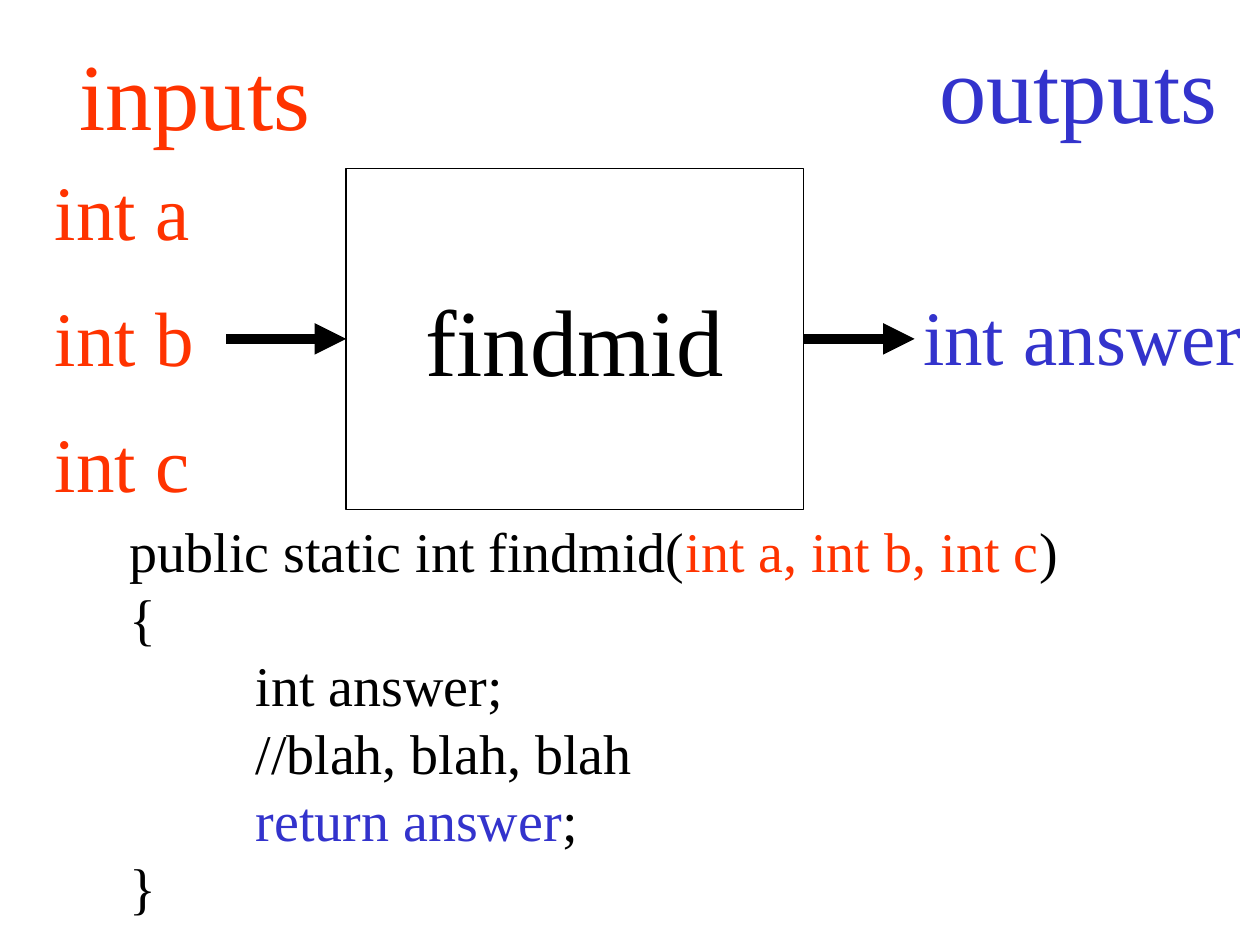
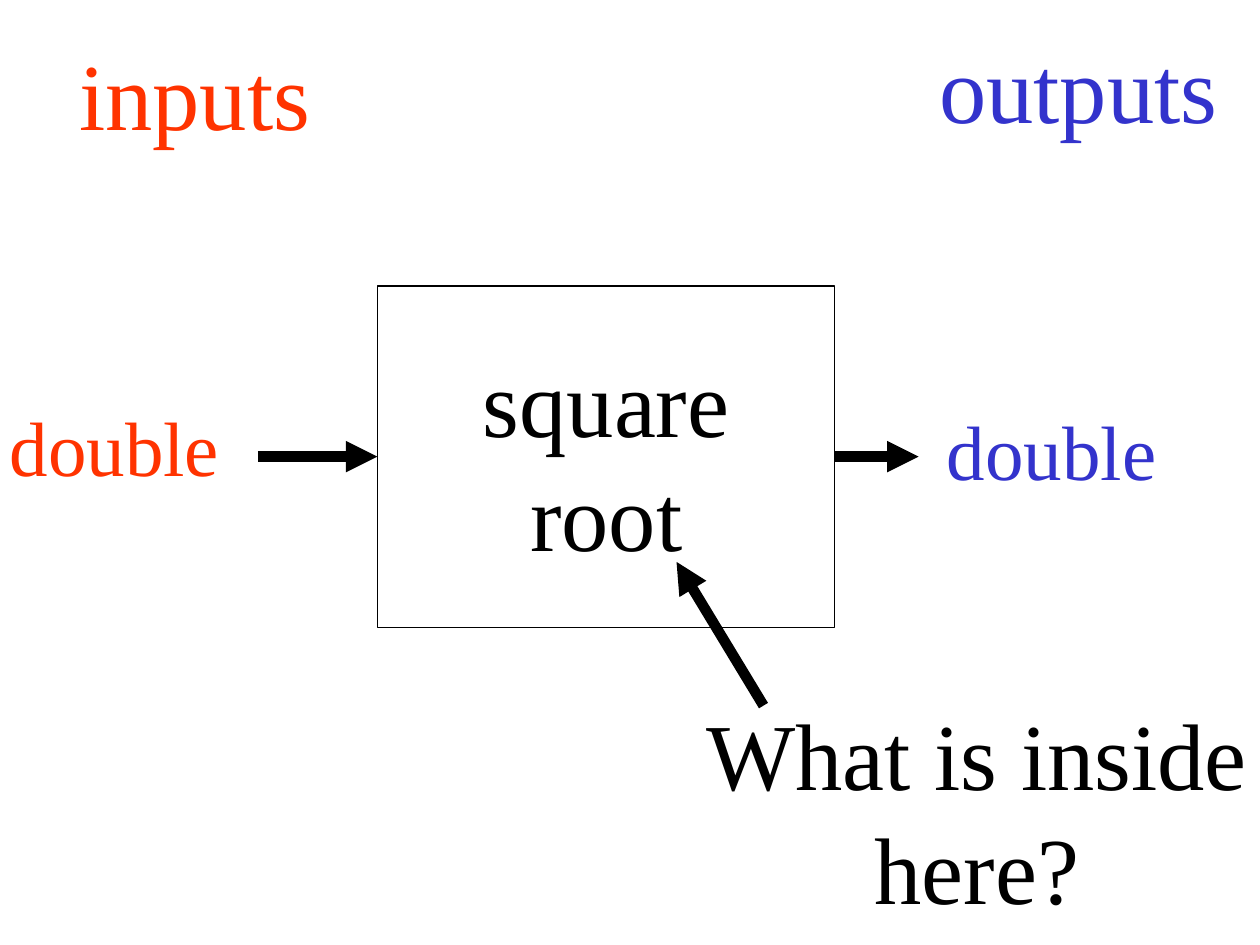
"""Two black-box diagrams: the findmid function and the square root function."""
from lxml import etree
from pptx import Presentation
from pptx.dml.color import RGBColor
from pptx.enum.shapes import MSO_CONNECTOR, MSO_SHAPE
from pptx.enum.text import MSO_ANCHOR, MSO_AUTO_SIZE, PP_ALIGN
from pptx.oxml.ns import qn
from pptx.util import Pt

STRAIGHT, RECT = MSO_CONNECTOR.STRAIGHT, MSO_SHAPE.RECTANGLE
LEFT, CENTER = PP_ALIGN.LEFT, PP_ALIGN.CENTER
MIDDLE, GROW = MSO_ANCHOR.MIDDLE, MSO_AUTO_SIZE.SHAPE_TO_FIT_TEXT
LEFT_SIDE, RIGHT_SIDE = 1, 3

BLACK = RGBColor(0x00, 0x00, 0x00)
WHITE = RGBColor(0xFF, 0xFF, 0xFF)
INPUT = RGBColor(0xFF, 0x33, 0x00)
OUTPUT = RGBColor(0x33, 0x33, 0xCC)

FONT = "Times New Roman"
BIG, MEDIUM, CODE = 54, 44, 32
LEADING = 1.2
PAD_X, PAD_Y = 7.2, 3.6
TAB = 72
BOX_W, BOX_H = 261.4, 195.1
ARROW_IN = 68.4

HEADINGS = [
    ("inputs", 38.2, 17.3, 147.5, INPUT),
    ("outputs", 529.6, 13.3, 175, OUTPUT),
]

CODE_LINES = [
    [("public static int findmid(", BLACK), ("int a, int b, int c", INPUT), (")", BLACK)],
    [("{", BLACK)],
    [("\tint answer;", BLACK)],
    [("\t//blah, blah, blah", BLACK)],
    [("\t", BLACK), ("return answer", OUTPUT), (";", BLACK)],
    [("}", BLACK)],
]

FINDMID = {
    "name": ["findmid"],
    "box": (197.8, 96.1),
    "arrow_end": 522.7,
    "labels": [
        ("int answer", 520.4, 161.5, 198, OUTPUT),
        *[(f"int {v}", 24.2, 90 + 72 * i, 95, INPUT) for i, v in enumerate("abc")],
    ],
}

SQUARE_ROOT = {
    "name": ["square", "root"],
    "box": (215.7, 163.4),
    "arrow_end": 524.9,
    "labels": [
        ("double", -1.6, 224.5, 136, INPUT),
        ("double", 534, 226.8, 136, OUTPUT),
    ],
}

QUESTION = ["What is inside", "here?"]


def plain(lines, color):
    return [[(line, color)] for line in lines]


def write(tf, lines, size, align):
    tf.word_wrap = False
    for i, runs in enumerate(lines):
        p = tf.paragraphs[0] if i == 0 else tf.add_paragraph()
        p.alignment = align
        p.line_spacing = Pt(LEADING * size)
        if runs[0][0].startswith("\t"):
            tabs = etree.SubElement(p._p.get_or_add_pPr(), qn("a:tabLst"))
            etree.SubElement(tabs, qn("a:tab"), pos=str(Pt(TAB)), algn="l")
        for text, color in runs:
            r = p.add_run()
            r.text = text
            for key, value in {"name": FONT, "size": Pt(size)}.items():
                setattr(r.font, key, value)
            r.font.color.rgb = color


def add_text(s, lines, x, y, w, size, align=LEFT):
    h = len(lines) * LEADING * size + 2 * PAD_Y
    tf = s.shapes.add_textbox(Pt(x), Pt(y), Pt(w), Pt(h)).text_frame
    margins = {"margin_left": PAD_X, "margin_right": PAD_X,
               "margin_top": PAD_Y, "margin_bottom": PAD_Y}
    for key, value in margins.items():
        setattr(tf, key, Pt(value))
    tf.auto_size = GROW
    write(tf, lines, size, align)


def add_arrow(s, x1, y1, x2, y2):
    c = s.shapes.add_connector(STRAIGHT, Pt(x1), Pt(y1), Pt(x2), Pt(y2))
    c.line.color.rgb = BLACK
    c.line.width = Pt(6)
    etree.SubElement(c.line._get_or_add_ln(), qn("a:tailEnd"), type="triangle")
    etree.SubElement(c._element.spPr, qn("a:effectLst"))
    return c


def add_diagram(prs, diagram):
    s = prs.slides.add_slide(prs.slide_layouts[6])
    x, y = diagram["box"]
    box = s.shapes.add_shape(RECT, Pt(x), Pt(y), Pt(BOX_W), Pt(BOX_H))
    box.shadow.inherit = False
    box.fill.solid()
    box.fill.fore_color.rgb = WHITE
    box.line.color.rgb = BLACK
    box.line.width = Pt(0.75)
    box.text_frame.vertical_anchor = MIDDLE
    write(box.text_frame, plain(diagram["name"], BLACK), BIG, CENTER)

    mid = y + BOX_H / 2
    add_arrow(s, x - ARROW_IN, mid, x, mid).end_connect(box, LEFT_SIDE)
    add_arrow(s, x + BOX_W, mid, diagram["arrow_end"], mid).begin_connect(box, RIGHT_SIDE)

    for labels, size in ((HEADINGS, BIG), (diagram["labels"], MEDIUM)):
        for text, left, top, width, color in labels:
            add_text(s, plain([text], color), left, top, width, size)
    return s


def main():
    prs = Presentation()
    prs.slide_width, prs.slide_height = Pt(720), Pt(540)

    s = add_diagram(prs, FINDMID)
    add_text(s, CODE_LINES, 67, 291.6, 548, CODE)

    s = add_diagram(prs, SQUARE_ROOT)
    add_arrow(s, 436.3, 403.2, 386.6, 321.1)
    add_text(s, plain(QUESTION, BLACK), 396, 394.3, 324.5, BIG, CENTER)

    prs.save("out.pptx")


if __name__ == "__main__":
    main()
